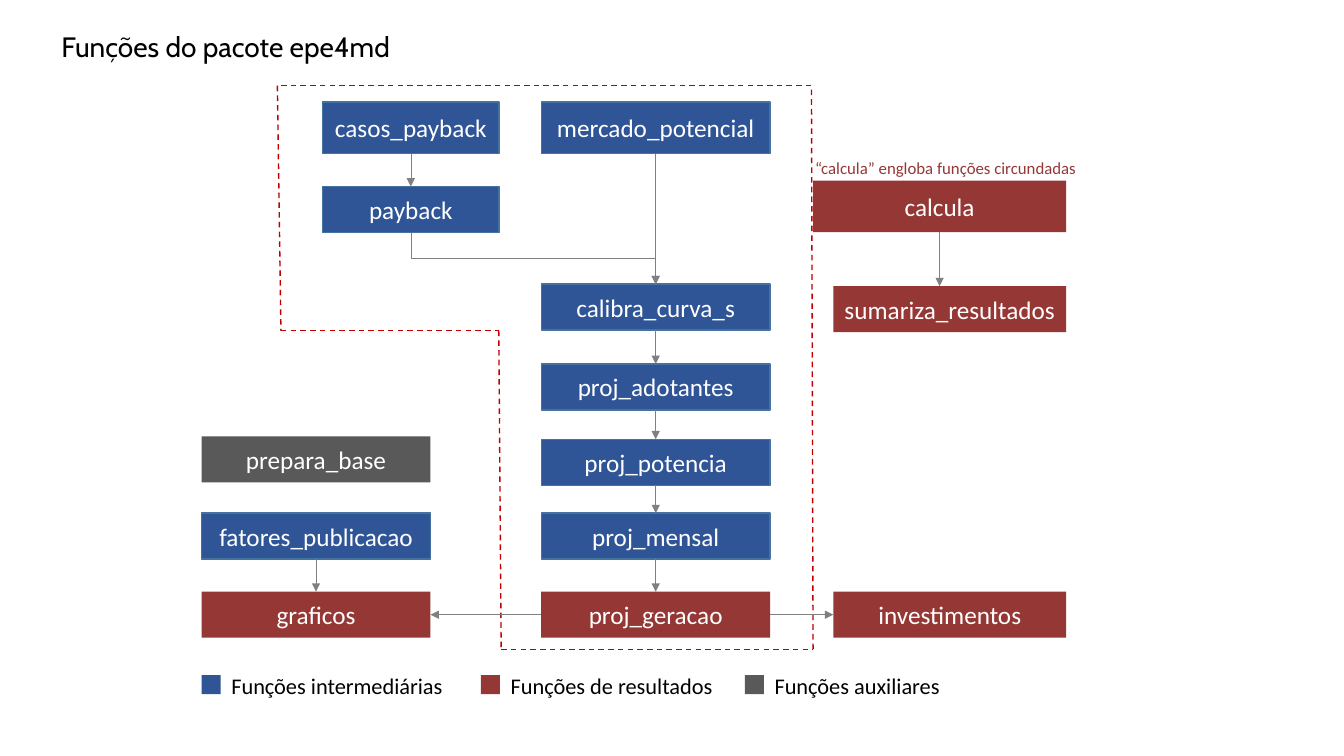
import pptx
import pptx.util
import pptx.dml.color
import pptx.enum.dml
import pptx.enum.shapes
import pptx.enum.text
import pptx.oxml.ns
import lxml.etree

Cm = pptx.util.Cm
Pt = pptx.util.Pt
RGBColor = pptx.dml.color.RGBColor
CONNECTOR = pptx.enum.shapes.MSO_CONNECTOR

BLUE = RGBColor(0x2F, 0x55, 0x97)
BLUE_EDGE = RGBColor(0x43, 0x73, 0x9E)
RED = RGBColor(0x95, 0x37, 0x35)
FRAME_RED = RGBColor(0xC0, 0x00, 0x00)
DARK_GRAY = RGBColor(0x59, 0x59, 0x59)
ARROW_GRAY = RGBColor(0x80, 0x80, 0x80)
BLACK = RGBColor(0x00, 0x00, 0x00)
WHITE = RGBColor(0xFF, 0xFF, 0xFF)

SIDE, PAYBACK, CENTER, RIGHT = (0, 5.77), (3.05, 4.45), (8.56, 5.77), (15.92, 5.87)
TALL, LOW = 1.3, 1.16
FUNCTIONS = {
    "casos_payback": (PAYBACK, 0.41, TALL, BLUE),
    "payback": (PAYBACK, 2.54, LOW, BLUE),
    "mercado_potencial": (CENTER, 0.41, TALL, BLUE),
    "calibra_curva_s": (CENTER, 5, LOW, BLUE),
    "proj_adotantes": (CENTER, 7.01, LOW, BLUE),
    "proj_potencia": (CENTER, 8.91, LOW, BLUE),
    "proj_mensal": (CENTER, 10.77, LOW, BLUE),
    "proj_geracao": (CENTER, 12.75, LOW, RED),
    "prepara_base": (SIDE, 8.84, LOW, DARK_GRAY),
    "fatores_publicacao": (SIDE, 10.77, LOW, BLUE),
    "graficos": (SIDE, 12.75, LOW, RED),
    "investimentos": (RIGHT, 12.75, LOW, RED),
}
DOWN_LINKS = [
    ("casos_payback", "payback"),
    ("mercado_potencial", "calibra_curva_s"),
    ("calibra_curva_s", "proj_adotantes"),
    ("proj_adotantes", "proj_potencia"),
    ("proj_potencia", "proj_mensal"),
    ("proj_mensal", "proj_geracao"),
    ("fatores_publicacao", "graficos"),
]
FRAME = [(1.91, 0), (2, 6.17), (7.49, 6.17), (7.55, 14.2), (15.41, 14.2), (15.37, 0)]
LEGEND = [
    (0, BLUE, "Funções intermediárias"),
    (7.04, RED, "Funções de resultados"),
    (13.69, DARK_GRAY, "Funções auxiliares"),
]


def set_attributes(target, values):
    """Set every attribute of the dict on the target."""
    for name, value in values.items():
        setattr(target, name, value)


def write_text(shape, text, size, color, font_name="Calibri"):
    """Put one formatted run into the shape and return its paragraph."""
    shape.text_frame.word_wrap = True
    paragraph = shape.text_frame.paragraphs[0]
    run = paragraph.add_run()
    run.text = text
    set_attributes(run.font, {"name": font_name, "size": Pt(size)})
    run.font.color.rgb = color
    return paragraph


def add_label(slide, box, text, size, color, font_name="Calibri"):
    """Add a text box at left, top, width and height in centimetres."""
    label = slide.shapes.add_textbox(*map(Cm, box))
    write_text(label, text, size, color, font_name)
    label.text_frame.auto_size = pptx.enum.text.MSO_AUTO_SIZE.SHAPE_TO_FIT_TEXT


def add_rectangle(slide, box, color):
    """Add a plain filled rectangle."""
    rectangle = slide.shapes.add_shape(
        pptx.enum.shapes.MSO_SHAPE.RECTANGLE, *map(Cm, box))
    rectangle.shadow.inherit = False
    rectangle.fill.solid()
    rectangle.fill.fore_color.rgb = color
    rectangle.line.fill.background()
    return rectangle


def add_function(slide, box, name, color):
    """Add a named function box, outlined when it is blue."""
    rectangle = add_rectangle(slide, box, color)
    if color == BLUE:
        rectangle.line.color.rgb = BLUE_EDGE
        rectangle.line.width = Pt(1)
    paragraph = write_text(rectangle, name, 18, WHITE)
    paragraph.alignment = pptx.enum.text.PP_ALIGN.CENTER
    rectangle.text_frame.vertical_anchor = pptx.enum.text.MSO_ANCHOR.MIDDLE
    return rectangle


def add_line(slide, start, end, color, width, kind=CONNECTOR.STRAIGHT):
    """Add a shadowless connector between two points."""
    connector = slide.shapes.add_connector(kind, *map(int, (*start, *end)))
    connector.line.color.rgb = color
    connector.line.width = Pt(width)
    lxml.etree.SubElement(connector.element.spPr, pptx.oxml.ns.qn("a:effectLst"))
    return connector


def add_arrow(slide, start, end, kind=CONNECTOR.STRAIGHT):
    """Add a thin gray line with a triangle at its end."""
    connector = add_line(slide, start, end, ARROW_GRAY, 0.5, kind)
    outline = connector.line._get_or_add_ln()
    lxml.etree.SubElement(outline, pptx.oxml.ns.qn("a:tailEnd"), type="triangle")
    return connector


def add_bent_arrow(slide, start, end):
    """Add an arrow that goes down, across to the right and down again."""
    middle_x, middle_y = (start[0] + end[0]) / 2, (start[1] + end[1]) / 2
    half_x, half_y = (end[0] - start[0]) / 2, (end[1] - start[1]) / 2
    connector = add_arrow(
        slide, (middle_x + half_y, middle_y - half_x),
        (middle_x - half_y, middle_y + half_x), CONNECTOR.ELBOW)
    connector.element.spPr.find(pptx.oxml.ns.qn("a:xfrm")).set("rot", "16200000")


def bottom_of(shape):
    """Return the middle of the bottom edge."""
    return shape.left + shape.width / 2, shape.top + shape.height


def top_of(shape):
    """Return the middle of the top edge."""
    return shape.left + shape.width / 2, shape.top


def link_down(slide, source, target):
    """Draw a vertical arrow from one box to the box below it."""
    start = bottom_of(source)
    add_arrow(slide, start, (start[0], target.top))


def draw_function_map(slide, left, top):
    """Draw the function boxes, their arrows and the dashed frame."""
    boxes = {
        name: add_function(slide, (left + x, top + y, width, height), name, color)
        for name, ((x, width), y, height, color) in FUNCTIONS.items()
    }
    corners = [(Cm(left + x), Cm(top + y)) for x, y in FRAME]
    for start, end in zip(corners, corners[1:] + corners[:1]):
        edge = add_line(slide, start, end, FRAME_RED, 1)
        edge.line.dash_style = pptx.enum.dml.MSO_LINE.DASH
    for source, target in DOWN_LINKS:
        link_down(slide, boxes[source], boxes[target])
    add_bent_arrow(slide, bottom_of(boxes["payback"]), top_of(boxes["calibra_curva_s"]))
    geracao, graficos = boxes["proj_geracao"], boxes["graficos"]
    level = geracao.top + geracao.height / 2
    add_arrow(slide, (geracao.left, level), (graficos.left + graficos.width, level))
    add_arrow(slide, (geracao.left + geracao.width, level),
              (boxes["investimentos"].left, level))


def draw_calcula(slide, left, top):
    """Draw the calcula box with its remark and its summary function."""
    calcula = add_function(slide, (left, top + 0.69, 6.38, TALL), "calcula", RED)
    sumariza = add_function(
        slide, (left + 0.51, top + 3.35, 5.87, LOW), "sumariza_resultados", RED)
    link_down(slide, calcula, sumariza)
    add_label(slide, (left - 0.2, top, 7.16, 0.76),
              "“calcula” engloba funções circundadas", 12, RED)


def draw_legend(slide, left, top):
    """Draw the colour key of the function types."""
    for offset, color, text in LEGEND:
        add_rectangle(slide, (left + offset, top + 0.2, 0.48, 0.48), color)
        add_label(slide, (left + offset + 0.5, top, 6.02, 0.94), text, 16, BLACK)


def main():
    """Build the slide and save it."""
    presentation = pptx.Presentation()
    set_attributes(presentation, {"slide_width": Cm(33.87), "slide_height": Cm(19.05)})
    slide = presentation.slides.add_slide(presentation.slide_layouts[6])
    add_label(slide, (1.3, 0.61, 17, 1.12), "Funções do pacote epe4md", 20, BLACK, "Cabin")
    draw_function_map(slide, 5.08, 2.16)
    draw_calcula(slide, 20.49, 3.86)
    draw_legend(slide, 5.08, 16.81)
    presentation.save("out.pptx")


main()
